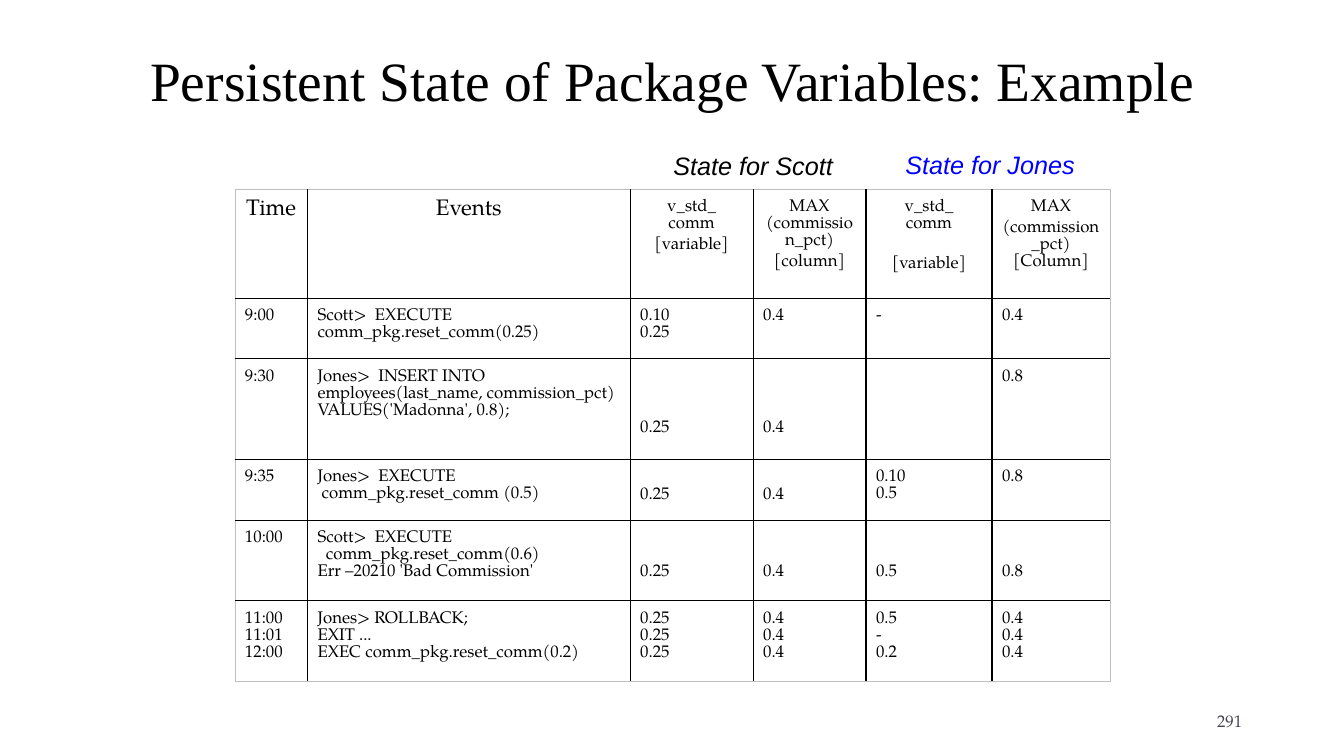
from lxml import etree
from pptx import Presentation
from pptx.dml.color import RGBColor
from pptx.enum.text import MSO_ANCHOR, MSO_AUTO_SIZE, PP_ALIGN
from pptx.oxml.ns import qn
from pptx.util import Pt

PX = 9144  # 100 px to the inch
BLACK = RGBColor(0x00, 0x00, 0x00)
BLUE = RGBColor(0x00, 0x00, 0xFF)
SLATE = RGBColor(0x46, 0x46, 0x53)
GREY = RGBColor(0xBF, 0xBF, 0xBF)
SERIF = "TeX Gyre Pagella"
CENTER, RIGHT = PP_ALIGN.CENTER, PP_ALIGN.RIGHT
MIDDLE = MSO_ANCHOR.MIDDLE
FIT_SHAPE = MSO_AUTO_SIZE.SHAPE_TO_FIT_TEXT
NO_FIT = MSO_AUTO_SIZE.NONE


def style(p, size, font, color, align=None, italic=None):
    p.alignment = align
    for r in p.runs:
        r.font.size = Pt(size)
        r.font.name = font
        r.font.color.rgb = color
        r.font.italic = italic


def add_border(cell, side, color, width):
    ln = etree.SubElement(cell._tc.get_or_add_tcPr(), qn("a:" + side), w=str(Pt(width)))
    fill = etree.SubElement(ln, qn("a:solidFill"))
    etree.SubElement(fill, qn("a:srgbClr"), val=str(color))


prs = Presentation()
prs.slide_width, prs.slide_height = 1333 * PX, 750 * PX
s = prs.slides.add_slide(prs.slide_layouts[5])

# Title
title = s.shapes.title
title.left, title.top, title.width, title.height = 92 * PX, 40 * PX, 1150 * PX, 85 * PX
tf = title.text_frame
tf.text = "Persistent State of Package Variables: Example"
tf.word_wrap = True
tf.auto_size = NO_FIT
tf.vertical_anchor = MIDDLE
tf.paragraphs[0].line_spacing = 0.9
style(tf.paragraphs[0], 39.6, "Times New Roman", BLACK, CENTER)

# Table contents: \n starts a paragraph, \v breaks a line
ROWS = [
    ["Time", "Events", "v_std_\vcomm\n[variable]", "MAX\v(commission_pct)\n[column]",
     "v_std_\vcomm\n[variable]", "MAX\n(commission_pct)\v[Column]"],
    ["9:00", "Scott>  EXECUTE comm_pkg.reset_comm(0.25)", "0.10\v0.25", "0.4", "-", "0.4"],
    ["9:30", "Jones>  INSERT INTO employees(last_name, commission_pct)\nVALUES('Madonna', 0.8);",
     "0.25", "0.4", "", "0.8"],
    ["9:35", "Jones>  EXECUTE\n comm_pkg.reset_comm (0.5)", "0.25", "0.4", "0.10\n0.5", "0.8"],
    ["10:00", "Scott>  EXECUTE\n  comm_pkg.reset_comm(0.6)\nErr –20210 'Bad Commission'",
     "0.25", "0.4", "0.5", "0.8"],
    ["11:00\n11:01\n12:00", "Jones> ROLLBACK;\nEXIT ...\nEXEC comm_pkg.reset_comm(0.2)",
     "0.25\n0.25\n0.25", "0.4\n0.4\n0.4", "0.5\n-\n0.2", "0.4\n0.4\n0.4"],
]
COL_WIDTHS = [72, 320, 122, 112, 125, 117]
ROW_HEIGHTS = [108, 60, 100, 60, 80, 80]
LINE = 17  # height of one line of cell text
# Lines by which results drop to meet the end of their statement
DROPS = {(2, 2): 3, (2, 3): 3, (3, 2): 1, (3, 3): 1,
         (4, 2): 2, (4, 3): 2, (4, 4): 2, (4, 5): 2}

# Table
n_rows, n_cols = len(ROWS), len(COL_WIDTHS)
frame = s.shapes.add_table(n_rows, n_cols, 233 * PX, 188 * PX,
                           sum(COL_WIDTHS) * PX, sum(ROW_HEIGHTS) * PX)
table = frame.table
table.first_row = table.horz_banding = False
for column, width in zip(table.columns, COL_WIDTHS):
    column.width = width * PX
for row, height in zip(table.rows, ROW_HEIGHTS):
    row.height = height * PX

for i, texts in enumerate(ROWS):
    for j, text in enumerate(texts):
        cell = table.cell(i, j)
        cell.margin_left = cell.margin_right = cell.margin_bottom = 10 * PX
        cell.margin_top = (10 + LINE * DROPS.get((i, j), 0)) * PX
        outer = {"lnL": j == 0, "lnR": j == n_cols - 1,
                 "lnT": i == 0, "lnB": i == n_rows - 1}
        for side, is_outer in outer.items():
            add_border(cell, side, GREY if is_outer else BLACK, 0.5 if is_outer else 1)
        cell.fill.background()
        cell.text_frame.text = text
        size = 16 if i == 0 and j < 2 else 12
        for k, p in enumerate(cell.text_frame.paragraphs):
            style(p, size, SERIF, BLACK, CENTER if i == 0 else None)
            if i == 0 and k > 0:
                p.space_before = Pt(16.5 if j == 4 else 2.4)

# State labels above the table and slide number
LABELS = [
    ("State for Scott", 657, 144, 180, 18, "Arial", BLACK, CENTER, True),
    ("State for Jones", 887, 143, 190, 18, "Arial", BLUE, CENTER, True),
    ("291", 942, 695, 300, 12, SERIF, SLATE, RIGHT, None),
]
for text, left, top, width, size, font, color, align, italic in LABELS:
    tf = s.shapes.add_textbox(left * PX, top * PX, width * PX, 40 * PX).text_frame
    tf.text = text
    tf.word_wrap = align == RIGHT
    tf.auto_size = NO_FIT if align == RIGHT else FIT_SHAPE
    if align == RIGHT:
        tf.vertical_anchor = MIDDLE
    style(tf.paragraphs[0], size, font, color, align, italic)

prs.save("out.pptx")
